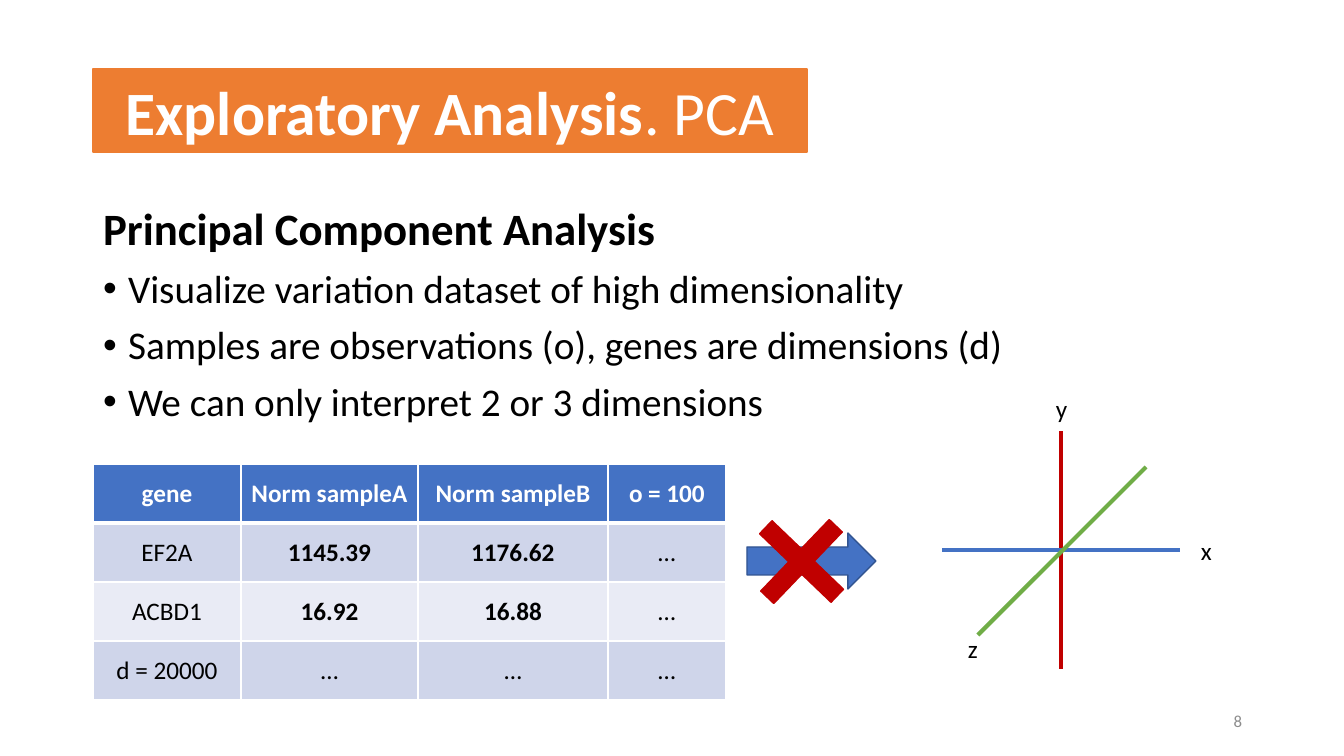
from lxml.etree import SubElement
from pptx import Presentation
from pptx.dml.color import RGBColor
from pptx.enum.shapes import MSO_CONNECTOR, MSO_SHAPE
from pptx.enum.text import MSO_ANCHOR, MSO_AUTO_SIZE, PP_ALIGN
from pptx.oxml.ns import qn
from pptx.util import Pt

PX = 9071  # EMU in one px
BLUE, RED, GREEN, ORANGE = "4472C4", "C00000", "70AD47", "ED7D31"
WHITE, BLACK, GREY = "FFFFFF", "000000", "8C8C8C"


def paint(fill, color):
    fill.solid()
    fill.fore_color.rgb = RGBColor.from_string(color)


def write(para, text, size=18, color=BLACK, bold=False, align=PP_ALIGN.LEFT):
    para.alignment = align
    run = para.add_run()
    run.text = text
    run.font.name = "Calibri"
    run.font.size = Pt(size)
    run.font.bold = bold
    paint(run.font.fill, color)


deck = Presentation()
deck.slide_width, deck.slide_height = 1344 * PX, 756 * PX
slide = deck.slides.add_slide(deck.slide_layouts[1])
shapes = slide.shapes
title, body = slide.placeholders

# Title on a rounded orange box
title.left, title.top, title.width, title.height = [n * PX for n in (93, 69, 714, 83)]
geom = SubElement(title.element.spPr, qn("a:prstGeom"), prst="roundRect")
SubElement(geom, qn("a:avLst"))
paint(title.fill, ORANGE)
paint(title.line.fill, ORANGE)
title.line.width = Pt(1)
frame = title.text_frame
frame.auto_size = MSO_AUTO_SIZE.NONE
frame.vertical_anchor = MSO_ANCHOR.MIDDLE
for text, bold in (("Exploratory Analysis", True), (". PCA", False)):
    write(frame.paragraphs[0], text, size=44, color=WHITE, bold=bold, align=PP_ALIGN.CENTER)

# Heading and bullet list
body.left, body.top, body.width, body.height = [n * PX for n in (93, 202, 1159, 480)]
frame = body.text_frame
frame.auto_size = MSO_AUTO_SIZE.NONE
items = (
    "Principal Component Analysis",
    "Visualize variation dataset of high dimensionality",
    "Samples are observations (o), genes are dimensions (d)",
    "We can only interpret 2 or 3 dimensions",
)
for i, text in enumerate(items):
    head = i == 0
    para = frame.paragraphs[0] if head else frame.add_paragraph()
    props = para._p.get_or_add_pPr()
    dent = 0 if head else 25 * PX
    props.set("marL", str(dent))
    props.set("indent", str(-dent))
    if head:
        SubElement(props, qn("a:buNone"))
    else:
        SubElement(props, qn("a:buFont"), typeface="Arial")
        SubElement(props, qn("a:buChar"), char="•")
    para.line_spacing = 0.9
    para.space_before = Pt(0 if head else 10)
    write(para, text, size=32 if head else 28, bold=head)

# Expression table
rows = (
    ("gene", "Norm sampleA", "Norm sampleB", "o = 100"),
    ("EF2A", "1145.39", "1176.62", "…"),
    ("ACBD1", "16.92", "16.88", "…"),
    ("d = 20000", "…", "…", "…"),
)
fills = (BLUE, "CFD5EA", "E9EBF5", "CFD5EA")
wide = (148, 177, 190, 118)
table = shapes.add_table(4, 4, 93 * PX, 464 * PX, sum(wide) * PX, 236 * PX).table
for col, width in zip(table.columns, wide):
    col.width = width * PX
for r, row in enumerate(rows):
    table.rows[r].height = 59 * PX
    for c, text in enumerate(row):
        cell = table.cell(r, c)
        cell.vertical_anchor = MSO_ANCHOR.MIDDLE
        props = cell._tc.get_or_add_tcPr()
        for side in "LRTB":
            thick = (r, side) in ((0, "B"), (1, "T"))
            edge = SubElement(props, qn("a:ln" + side), w=str(Pt(3 if thick else 1)))
            SubElement(SubElement(edge, qn("a:solidFill")), qn("a:srgbClr"), val=WHITE)
        paint(cell.fill, fills[r])
        value = c in (1, 2) and text != "…"
        write(cell.text_frame.paragraphs[0], text, color=BLACK if r else WHITE,
              bold=r == 0 or value, align=PP_ALIGN.CENTER)

# Arrow to the axes, then the axes, then the cross on the arrow
arrow = shapes.add_shape(MSO_SHAPE.RIGHT_ARROW, 747 * PX, 533 * PX, 129 * PX, 56 * PX)
for ends, color in (
    ((1061, 431, 1061, 669), RED),
    ((1180, 550, 942, 550), BLUE),
    ((1146, 467, 978, 635), GREEN),
):
    axis = shapes.add_connector(MSO_CONNECTOR.STRAIGHT, *[n * PX for n in ends])
    paint(axis.line.fill, color)
    axis.line.width = Pt(3)
    SubElement(axis.element.spPr, qn("a:effectLst"))
cross = shapes.add_shape(MSO_SHAPE.CROSS, 752 * PX, 512 * PX, 99 * PX, 99 * PX)
cross.adjustments[0] = 0.409
cross.rotation = 43.8
for shape, color, rim in ((arrow, BLUE, "325491"), (cross, RED, RED)):
    shape.shadow.inherit = False
    paint(shape.fill, color)
    paint(shape.line.fill, rim)
    shape.line.width = Pt(1)

# Axis names
for text, left, top in (("x", 1191, 530), ("y", 1046, 388), ("z", 958, 628)):
    frame = shapes.add_textbox(left * PX, top * PX, 31 * PX, 40 * PX).text_frame
    frame.word_wrap = False
    frame.auto_size = MSO_AUTO_SIZE.SHAPE_TO_FIT_TEXT
    write(frame.paragraphs[0], text)

# Page number
frame = shapes.add_textbox(950 * PX, 701 * PX, 302 * PX, 40 * PX).text_frame
frame.word_wrap = True
frame.vertical_anchor = MSO_ANCHOR.MIDDLE
write(frame.paragraphs[0], "8", size=12, color=GREY, align=PP_ALIGN.RIGHT)

deck.save("out.pptx")
